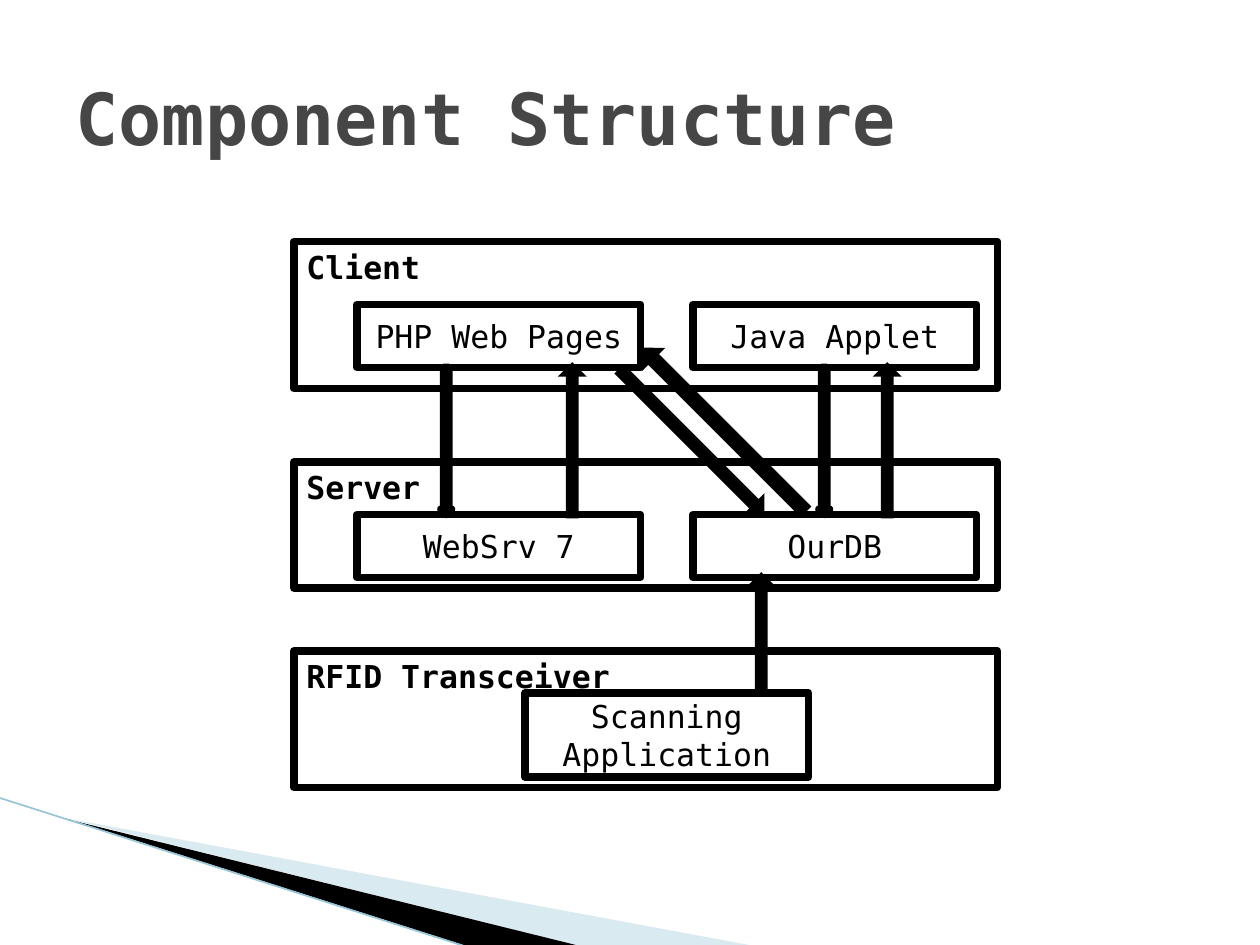
"""Build the Component Structure slide with its three tiers and the arrows between them."""
from lxml.etree import SubElement
from pptx import Presentation
from pptx.dml.color import RGBColor
from pptx.enum.shapes import MSO_CONNECTOR, MSO_SHAPE
from pptx.enum.text import MSO_ANCHOR, PP_ALIGN
from pptx.oxml.ns import qn
from pptx.util import Pt

BLACK = RGBColor(0, 0, 0)
WHITE = RGBColor(255, 255, 255)
GREY = RGBColor(0x46, 0x46, 0x46)
PALE = RGBColor(0xA0, 0xCB, 0xDC)
BLUE = RGBColor(0x97, 0xC5, 0xD8)
FONT = "DejaVu Sans Mono"


def write(frame, text, size, color, bold, anchor, align):
    frame.word_wrap = True
    frame.vertical_anchor = anchor
    para = frame.paragraphs[0]
    para.alignment = align
    run = para.add_run()
    run.text = text
    run.font.name = FONT
    run.font.size = Pt(size)
    run.font.bold = bold
    run.font.color.rgb = color


def draw(shapes, kind, place, fill):
    shape = shapes.add_shape(kind, *[Pt(n) for n in place])
    shape.shadow.inherit = False
    shape.fill.solid()
    shape.fill.fore_color.rgb = fill
    shape.line.color.rgb = BLACK
    shape.line.width = Pt(4.33)
    return shape


deck = Presentation()
deck.slide_width = Pt(720)
deck.slide_height = Pt(540)
slide = deck.slides.add_slide(deck.slide_layouts[5])
shapes = slide.shapes

title = shapes.title
title.left, title.top, title.width, title.height = Pt(36), Pt(21.6), Pt(648), Pt(90)
write(title.text_frame, "Component Structure", 41, GREY, True,
      MSO_ANCHOR.MIDDLE, PP_ALIGN.LEFT)

wedges = [
    (PALE, [(39.6, 468.5), (428.4, 540.5), (328.3, 540.5), (39.6, 468)]),
    (BLACK, [(38.2, 467.5), (329, 540.5), (267.8, 541), (38.9, 468)]),
]
for color, points in wedges:
    pen = shapes.build_freeform(*points[0], scale=Pt(1))
    pen.add_line_segments(points[1:], close=True)
    wedge = pen.convert_to_shape()
    wedge.shadow.inherit = False
    wedge.fill.solid()
    wedge.fill.fore_color.rgb = color
    wedge.line.fill.background()
    if color == PALE:
        tint = wedge._element.spPr.find(qn("a:solidFill"))[0]
        SubElement(tint, qn("a:alpha"), val="40000")

edge = shapes.add_connector(MSO_CONNECTOR.STRAIGHT, Pt(-0.7), Pt(455.8), Pt(267.8), Pt(541.4))
edge.line.color.rgb = BLUE
edge.line.width = Pt(0.95)
SubElement(edge._element.spPr, qn("a:effectLst"))

tiers = [
    ("Client", 138, 84, 174, 36, [("PHP Web Pages", 204), ("Java Applet", 396)]),
    ("Server", 264, 72, 294, 36, [("WebSrv 7", 204), ("OurDB", 396)]),
    ("RFID Transceiver", 372, 78, 396, 48, [("Scanning Application", 300)]),
]
for name, top, height, row, tall, parts in tiers:
    group = shapes.add_group_shape().shapes
    tier = draw(group, MSO_SHAPE.RECTANGLE, (168, top, 402, height), WHITE)
    write(tier.text_frame, name, 18, BLACK, True, MSO_ANCHOR.TOP, PP_ALIGN.LEFT)
    for label, left in parts:
        part = draw(group, MSO_SHAPE.RECTANGLE, (left, row, 162, tall), WHITE)
        write(part.text_frame, label, 18, BLACK, False, MSO_ANCHOR.MIDDLE, PP_ALIGN.CENTER)

arrows = [
    (252, 210, 6, 84, 0),
    (468, 210, 6, 84, 0),
    (324, 210, 6, 84, 180),
    (504, 210, 6, 84, 180),
    (432, 330, 6, 66, 180),
    (409.7, 182.2, 8.6, 127.4, 135),
    (391.7, 195.8, 6.5, 112.3, 315),
]
for *place, turn in arrows:
    arrow = draw(shapes, MSO_SHAPE.DOWN_ARROW, place, BLACK)
    arrow.rotation = turn
    if turn:
        SubElement(arrow._element.spPr.find(qn("a:ln")), qn("a:miter"), lim="800000")

deck.save("out.pptx")
